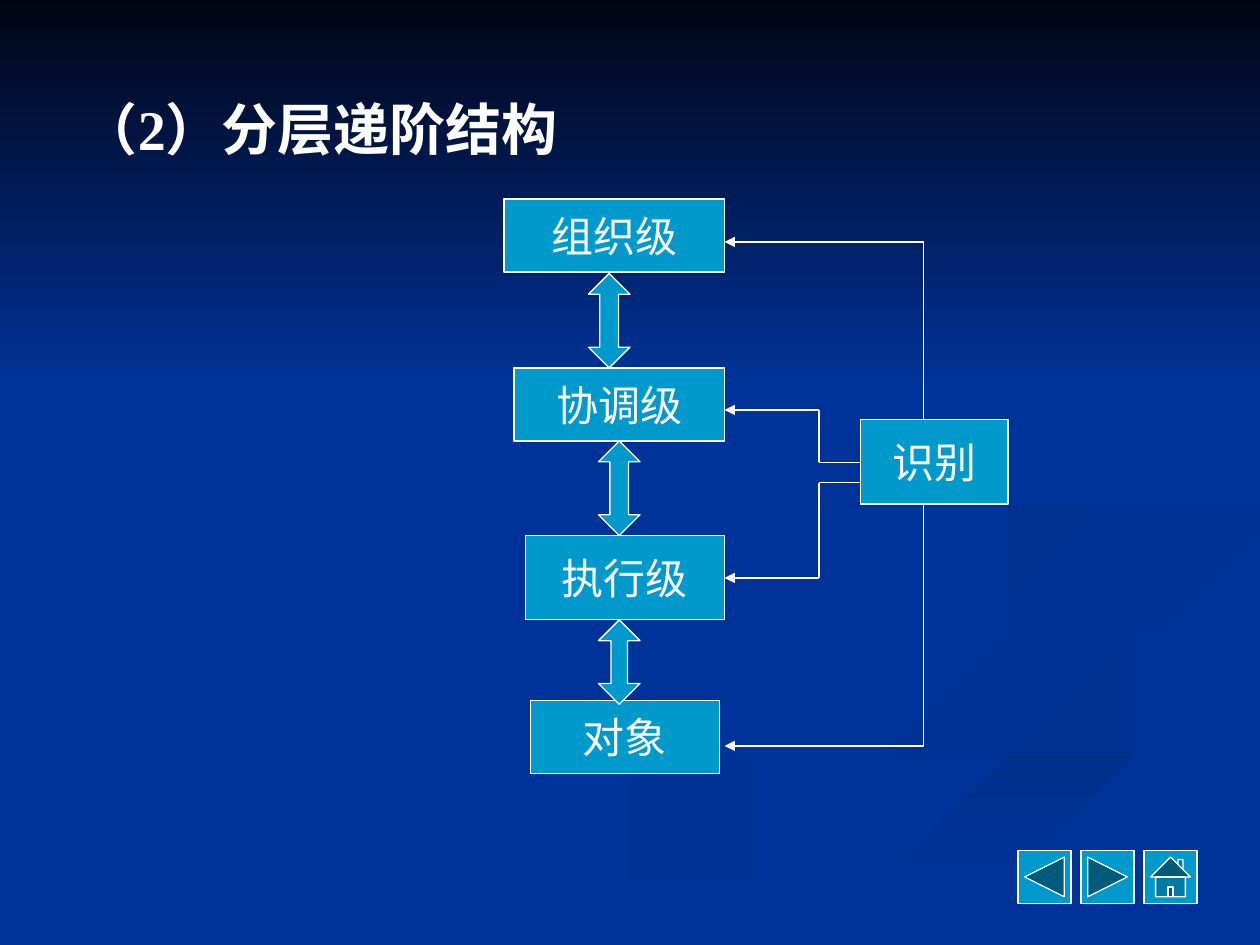
from itertools import pairwise

from lxml import etree
from pptx import Presentation
from pptx.dml.color import RGBColor
from pptx.enum import shapes, text
from pptx.oxml import ns
from pptx.util import Inches, Pt

FONT = "Times New Roman"
BLUE, CYAN, WHITE = "003399", "0099CC", "FFFFFF"

RIBBONS = [
    (BLUE, "003193", 0,
     [(5.75, 4.59), (6.14, 4.96), (7.31, 5.33), (8, 5.81), (7.56, 6.14), (5.64, 6.65), (3.61, 7.49)],
     [(3, 7.49), (4.99, 6.61), (7.39, 5.98), (7.86, 5.66), (6.31, 5.05), (5.7, 4.7)]),
    (BLUE, "003193", 45,
     [(7.24, 4.64), (7.58, 4.98), (8.7, 5.3), (9.43, 5.7), (8.94, 6.05)],
     [(9.18, 5.81), (8.92, 5.53), (7.97, 5.24), (7.27, 4.79)]),
    ("002F8C", BLUE, 90,
     [(5.03, 7.49), (6.3, 6.93), (7.97, 6.38), (9.98, 5.81)],
     [(9.98, 6.09), (8.21, 6.51), (6.7, 7.02), (5.71, 7.49)]),
    ("003091", BLUE, 45,
     [(9.98, 4.02), (8.65, 4.24), (7.81, 4.6), (8.26, 4.96)],
     [(8.05, 4.76), (8.43, 4.48), (9.98, 4.2)]),
    ("002F8E", BLUE, 45,
     [(7.62, 2.33), (8.46, 2.79), (8.89, 3.35), (8.18, 3.86), (6.25, 4.26), (5.77, 4.62), (6.22, 5)],
     [(5.93, 4.7), (6.49, 4.36), (8.41, 3.96), (8.94, 3.44), (8.54, 2.83)]),
]


def color(value):
    """Turn a hex string into a colour."""
    return RGBColor.from_string(value)


def smooth(points, steps=6):
    """Trace a Catmull-Rom curve through the points."""
    padded = [points[0], *points, points[-1]]
    curve = [points[0]]
    for a, b, c, d in zip(padded, padded[1:], padded[2:], padded[3:]):
        for step in range(1, steps + 1):
            t = step / steps
            curve.append(tuple(
                q + t / 2 * (r - p + t * (2 * p - 5 * q + 4 * r - s + t * (3 * (q - r) + s - p)))
                for p, q, r, s in zip(a, b, c, d)))
    return curve


def add_gradient(shape, start, end, angle):
    """Fill an unlined shape with a two-stop gradient, angle clockwise."""
    shape.shadow.inherit = False
    shape.line.fill.background()
    shape.fill.gradient()
    shape.fill.gradient_angle = -angle % 360
    for stop, value in zip(shape.fill.gradient_stops, (start, end)):
        stop.color.rgb = color(value)


def add_text(frame, words, size=24, bold=False, align=text.PP_ALIGN.CENTER):
    """Write one formatted paragraph into a text frame."""
    para = frame.paragraphs[0]
    para.alignment = align
    span = para.add_run()
    span.text = words
    span.font.name = FONT
    span.font.size = Pt(size)
    span.font.bold = bold
    span.font.color.rgb = color(WHITE)


def add_block(page, kind, box, words=None):
    """Add a cyan preset shape with a white outline and optional label."""
    block = page.shapes.add_shape(kind, *map(Inches, box))
    block.shadow.inherit = False
    block.fill.solid()
    block.fill.fore_color.rgb = color(CYAN)
    block.line.color.rgb = color(WHITE)
    block.line.width = Pt(0.75)
    if words:
        block.text_frame.word_wrap = False
        block.text_frame.vertical_anchor = text.MSO_ANCHOR.MIDDLE
        add_text(block.text_frame, words)
    return block


def add_route(page, points):
    """Join points with straight lines and put an arrowhead on the last."""
    for start, end in pairwise(points):
        line = page.shapes.add_connector(
            shapes.MSO_CONNECTOR.STRAIGHT, *map(Inches, (*start, *end)))
        line.line.color.rgb = color(WHITE)
        line.line.width = Pt(0.75)
        etree.SubElement(line._element.spPr, ns.qn("a:effectLst"))
    outline = line._element.spPr.find(ns.qn("a:ln"))
    etree.SubElement(outline, ns.qn("a:tailEnd"), type="triangle")


def draw_backdrop(page, box):
    """Draw the ribbons and the dark band that fills the given box."""
    page.background.fill.solid()
    page.background.fill.fore_color.rgb = color(BLUE)
    for start, end, angle, outward, back in RIBBONS:
        points = smooth(outward) + smooth(back)
        outline = page.shapes.build_freeform(*points[0], scale=Inches(1))
        outline.add_line_segments(points[1:], close=True)
        add_gradient(outline.convert_to_shape(), start, end, angle)
    band = page.shapes.add_shape(shapes.MSO_SHAPE.RECTANGLE, *map(Inches, box))
    add_gradient(band, "000514", BLUE, 90)


def draw_buttons(page, box):
    """Draw a row of square navigation buttons in the box."""
    left, top, width, side = box
    kinds = (shapes.MSO_SHAPE.ACTION_BUTTON_BACK_OR_PREVIOUS,
             shapes.MSO_SHAPE.ACTION_BUTTON_FORWARD_OR_NEXT,
             shapes.MSO_SHAPE.ACTION_BUTTON_HOME)
    pitch = (width - side) / (len(kinds) - 1)
    for index, kind in enumerate(kinds):
        add_block(page, kind, (left + index * pitch, top, side, side))


def draw_title(page, box):
    """Write the heading at the top of the box."""
    frame = page.shapes.add_textbox(*map(Inches, box)).text_frame
    frame.word_wrap = True
    add_text(frame, "（2）分层递阶结构", size=32, bold=True, align=text.PP_ALIGN.LEFT)


def draw_hierarchy(page, box):
    """Draw the control levels, the identification block and their links."""
    left, top, width, height = box
    right = left + width
    edge, bend, hub, trunk = left + 1.75, left + 2.5, left + 2.83, left + 3.33
    levels = [("组织级", 0, 0, 1.75, 0.58), ("协调级", 0.08, 1.34, 1.67, 0.58),
              ("执行级", 0.17, 2.67, 1.58, 0.67), ("对象", 0.21, height - 0.58, 1.5, 0.58)]
    for words, x, y, wide, high in levels:
        add_block(page, shapes.MSO_SHAPE.RECTANGLE, (left + x, top + y, wide, high), words)
    hub_top, hub_bottom = top + 1.75, top + 2.42
    add_block(page, shapes.MSO_SHAPE.RECTANGLE,
              (hub, hub_top, right - hub, hub_bottom - hub_top), "识别")

    targets = [top + 0.34 + step * 4 / 3 for step in range(4)]
    for start, target in ((hub_top, targets[0]), (hub_bottom, targets[3])):
        add_route(page, [(trunk, start), (trunk, target), (edge, target)])
    for start, target in ((top + 2.09, targets[1]), (top + 2.25, targets[2])):
        add_route(page, [(hub, start), (bend, start), (bend, target), (edge, target)])

    for x, y, high, head in ((0.67, 0.59, 0.75, 0.45), (0.75, 1.92, 0.75, 0.45),
                             (0.75, 3.34, 0.67, 0.4)):
        arrow = add_block(page, shapes.MSO_SHAPE.UP_DOWN_ARROW,
                          (left + x, top + y, 0.33, high))
        arrow.adjustments[0], arrow.adjustments[1] = 0.5, head


def main():
    """Build the slide and save the deck."""
    deck = Presentation()
    deck.slide_width, deck.slide_height = Inches(10), Inches(7.5)
    page = deck.slides.add_slide(deck.slide_layouts[6])
    draw_backdrop(page, (0, 0, 10, 3.08))
    draw_buttons(page, (8.08, 6.75, 1.42, 0.42))
    draw_title(page, (0.55, 0.7, 8.32, 6.16))
    draw_hierarchy(page, (4, 1.58, 4, 4.56))
    deck.save("out.pptx")


if __name__ == "__main__":
    main()
